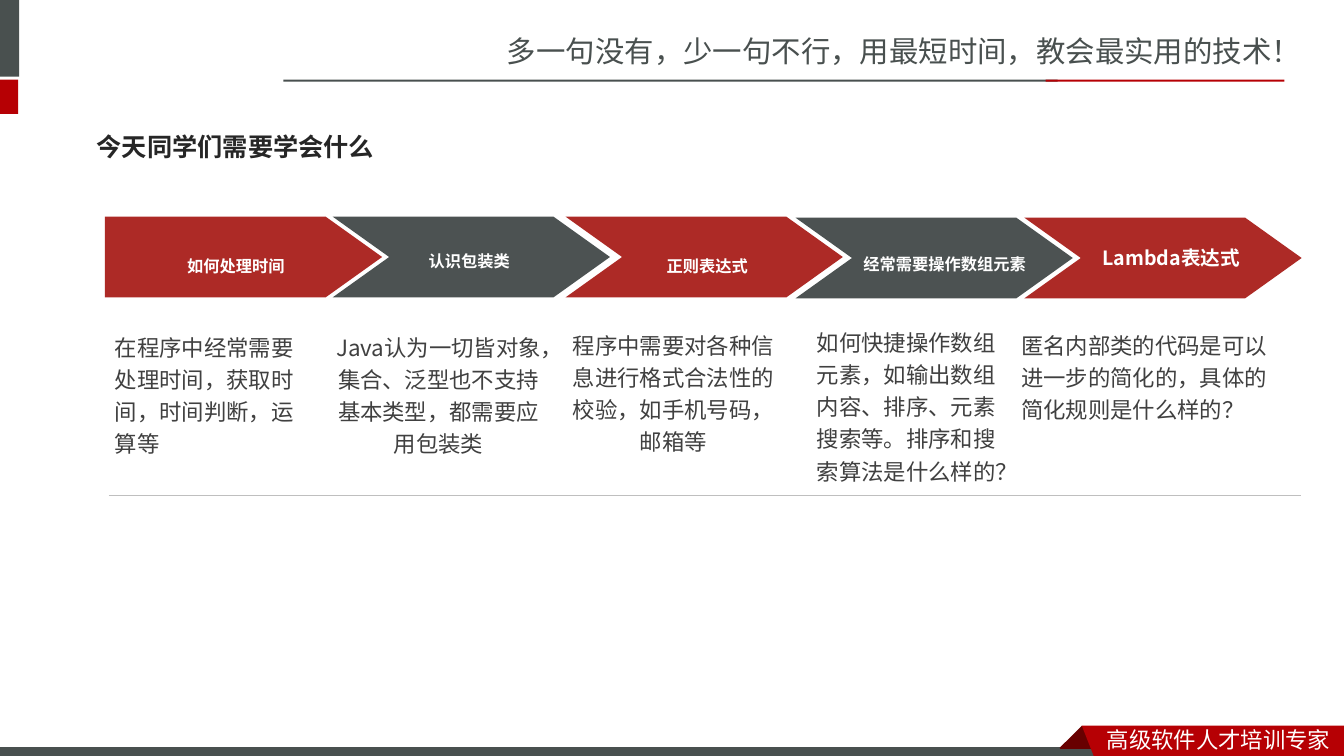
from lxml.etree import SubElement
from pptx import Presentation
from pptx.dml.color import RGBColor
from pptx.enum.shapes import MSO_CONNECTOR, MSO_SHAPE
from pptx.enum.text import MSO_ANCHOR, MSO_AUTO_SIZE, PP_ALIGN
from pptx.oxml.ns import qn
from pptx.util import Inches, Pt

COLORS = {
    "slate": "49504F", "red": "B60004", "dark_red": "680000", "white": "FFFFFF",
    "arrow_red": "AD2A26", "arrow_gray": "4C5252", "rule": "BFBFBF",
    "body": "404040", "title": "262626",
}
HEADER_FONT = "Noto Sans CJK SC"
BODY_FONT = "Noto Sans CJK JP"
TITLE_FONT = "Noto Sans Mono"


def write_text(shape, text, box, size, color, font=BODY_FONT, bold=False, baseline=None,
               align=PP_ALIGN.LEFT, anchor=MSO_ANCHOR.TOP, spacing=1.0,
               auto_size=MSO_AUTO_SIZE.SHAPE_TO_FIT_TEXT):
    """Place the shape at box and fill it with one formatted paragraph."""
    shape.left, shape.top, shape.width, shape.height = map(Inches, box)
    frame = shape.text_frame
    frame.word_wrap = True
    frame.auto_size = auto_size
    frame.vertical_anchor = anchor
    paragraph = frame.paragraphs[0]
    paragraph.alignment = align
    paragraph.line_spacing = spacing
    run = paragraph.add_run()
    run.text = text
    run.font.size = Pt(size)
    run.font.bold = bold
    run.font.name = font
    run.font.color.rgb = RGBColor.from_string(COLORS[color])
    for properties in shape.element.iter(qn("a:rPr")):
        properties.set("lang", "zh-CN")
        if baseline is not None:
            properties.set("baseline", str(baseline))
        SubElement(properties, qn("a:ea")).set("typeface", font)


def draw_polygon(shapes, points, color):
    corners = [(Inches(x), Inches(y)) for x, y in points]
    builder = shapes.build_freeform(*corners[0])
    builder.add_line_segments(corners[1:], close=True)
    shape = builder.convert_to_shape()
    shape.shadow.inherit = False
    shape.fill.solid()
    shape.fill.fore_color.rgb = RGBColor.from_string(COLORS[color])
    shape.line.fill.background()


presentation = Presentation()
presentation.slide_width = Inches(13.33)
presentation.slide_height = Inches(7.5)
slide = presentation.slides.add_slide(presentation.slide_layouts[5])
shapes = slide.shapes

write_text(shapes.title, "今天同学们需要学会什么", (0.86, 1.17, 4.08, 0.57), 18, "title",
           font=TITLE_FONT, bold=True, anchor=MSO_ANCHOR.MIDDLE, auto_size=MSO_AUTO_SIZE.NONE)

# Header and footer
write_text(shapes.add_textbox(0, 0, 0, 0), "多一句没有，少一句不行，用最短时间，教会最实用的技术！",
           (4.93, 0.28, 8.41, 0.47), 21, "slate", font=HEADER_FONT)

bars = [
    ((-0.06, 0, 0.25, 0.76), "slate"),
    ((-0.06, 0.79, 0.24, 0.34), "red"),
    ((2.81, 0.79, 7.68, 0.02), "slate"),
    ((10.37, 0.79, 2.37, 0.02), "red"),
    ((-0.01, 7.41, 11, 0.12), "slate"),
]
for box, color in bars:
    bar = shapes.add_shape(MSO_SHAPE.RECTANGLE, *map(Inches, box))
    bar.shadow.inherit = False
    bar.fill.solid()
    bar.fill.fore_color.rgb = RGBColor.from_string(COLORS[color])
    bar.line.fill.background()
# The last bar is the footer strip, edged in white
bar.line.color.rgb = RGBColor.from_string(COLORS["white"])
bar.line.width = Pt(0.75)

draw_polygon(shapes, [(10.73, 7.2), (10.95, 7.42), (10.94, 7.43), (10.52, 7.43), (10.51, 7.42)],
             "dark_red")
draw_polygon(shapes, [(10.73, 7.2), (13.33, 7.2), (13.33, 7.54), (10.86, 7.53)], "red")
write_text(shapes.add_textbox(0, 0, 0, 0), "高级软件人才培训专家",
           (10.88, 7.15, 2.45, 0.37), 16, "white", font=HEADER_FONT)

# Arrow chain: left, top, label, label box, label format
small = {"size": 20, "baseline": -3000}
arrows = [
    (1.04, 2.15, "如何处理时间", (1.03, 2.37, 2.62, 0.36), {**small, "spacing": 1.2}),
    (3.3, 2.15, "认识包装类", (3.49, 2.37, 2.33, 0.33), small),
    (5.61, 2.15, "正则表达式", (5.28, 2.37, 3.47, 0.36), {**small, "spacing": 1.2}),
    (7.89, 2.16, "经常需要操作数组元素", (8.31, 2.4, 2.12, 0.33), small),
    (10.16, 2.16, "Lambda表达式", (10.45, 2.35, 2.33, 0.37), {"size": 14, "spacing": 1.2}),
]
ARROW_WIDTH, ARROW_HEIGHT, POINT_DEPTH = 2.75, 0.8, 0.56
for index, (left, top, label, box, label_format) in enumerate(arrows):
    right, middle, bottom = left + ARROW_WIDTH, top + ARROW_HEIGHT / 2, top + ARROW_HEIGHT
    shoulder = right - POINT_DEPTH
    points = [(left, top), (shoulder, top), (right, middle), (shoulder, bottom), (left, bottom)]
    if index > 0:
        points.append((left + POINT_DEPTH, middle))
    draw_polygon(shapes, points, "arrow_gray" if index % 2 else "arrow_red")
    write_text(shapes.add_textbox(0, 0, 0, 0), label, box, color="white", bold=True,
               align=PP_ALIGN.CENTER, anchor=MSO_ANCHOR.MIDDLE, **label_format)

# Descriptions under the arrows
descriptions = [
    ("在程序中经常需要处理时间，获取时间，时间判断，运算等",
     (1.04, 3.21, 2.12, 1.38), PP_ALIGN.LEFT),
    ("Java认为一切皆对象，集合、泛型也不支持基本类型，都需要应用包装类",
     (3.2, 3.21, 2.3, 1.38), PP_ALIGN.CENTER),
    ("程序中需要对各种信息进行格式合法性的校验，如手机号码，邮箱等",
     (5.53, 3.19, 2.3, 1.38), PP_ALIGN.CENTER),
    ("如何快捷操作数组元素，如输出数组内容、排序、元素搜索等。排序和搜索算法是什么样的？",
     (7.96, 3.16, 2.06, 1.7), PP_ALIGN.CENTER),
    ("匿名内部类的代码是可以进一步的简化的，具体的简化规则是什么样的？",
     (10.03, 3.19, 2.75, 1.05), PP_ALIGN.LEFT),
]
for text, box, align in descriptions:
    write_text(shapes.add_textbox(0, 0, 0, 0), text, box, 16, "body", align=align, spacing=1.2)

rule = shapes.add_connector(MSO_CONNECTOR.STRAIGHT, Inches(1.08), Inches(4.91),
                            Inches(12.9), Inches(4.91))
rule.line.color.rgb = RGBColor.from_string(COLORS["rule"])
rule.line.width = Pt(0.25)
SubElement(rule.element.spPr, qn("a:effectLst"))

presentation.save("out.pptx")
